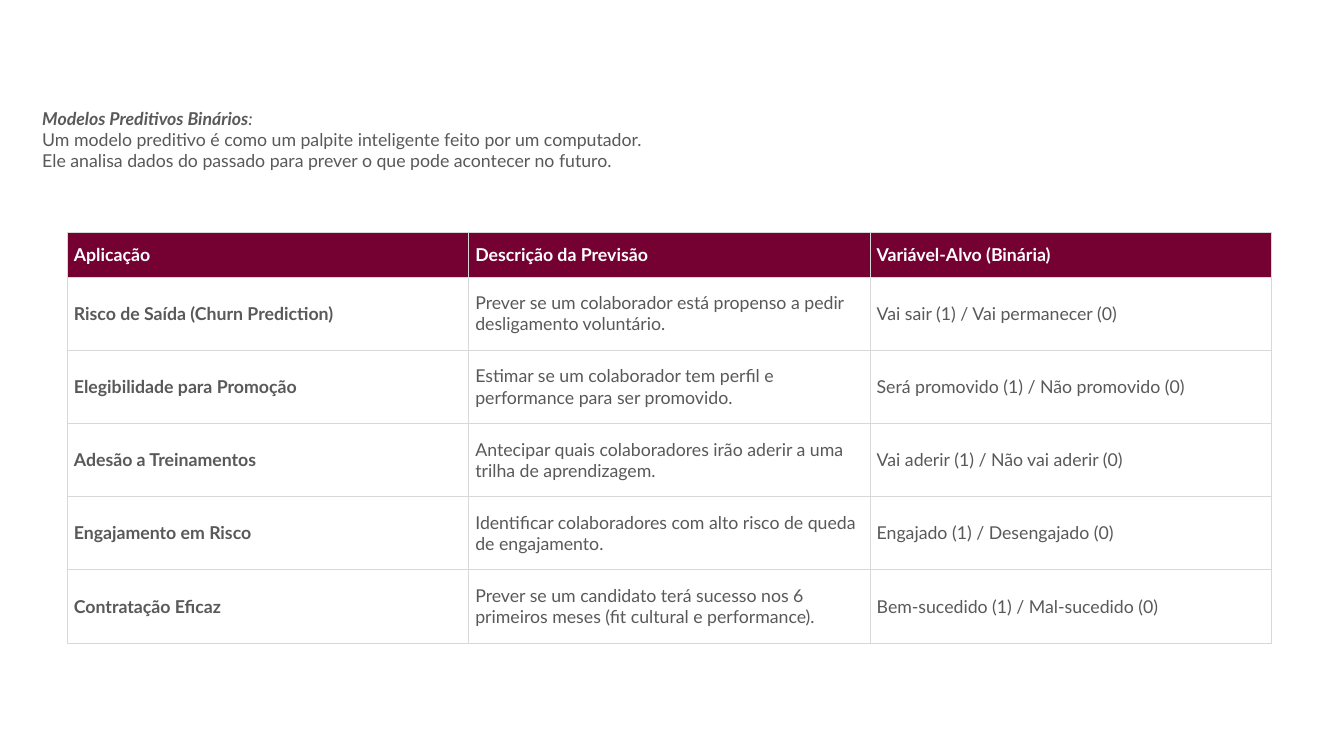
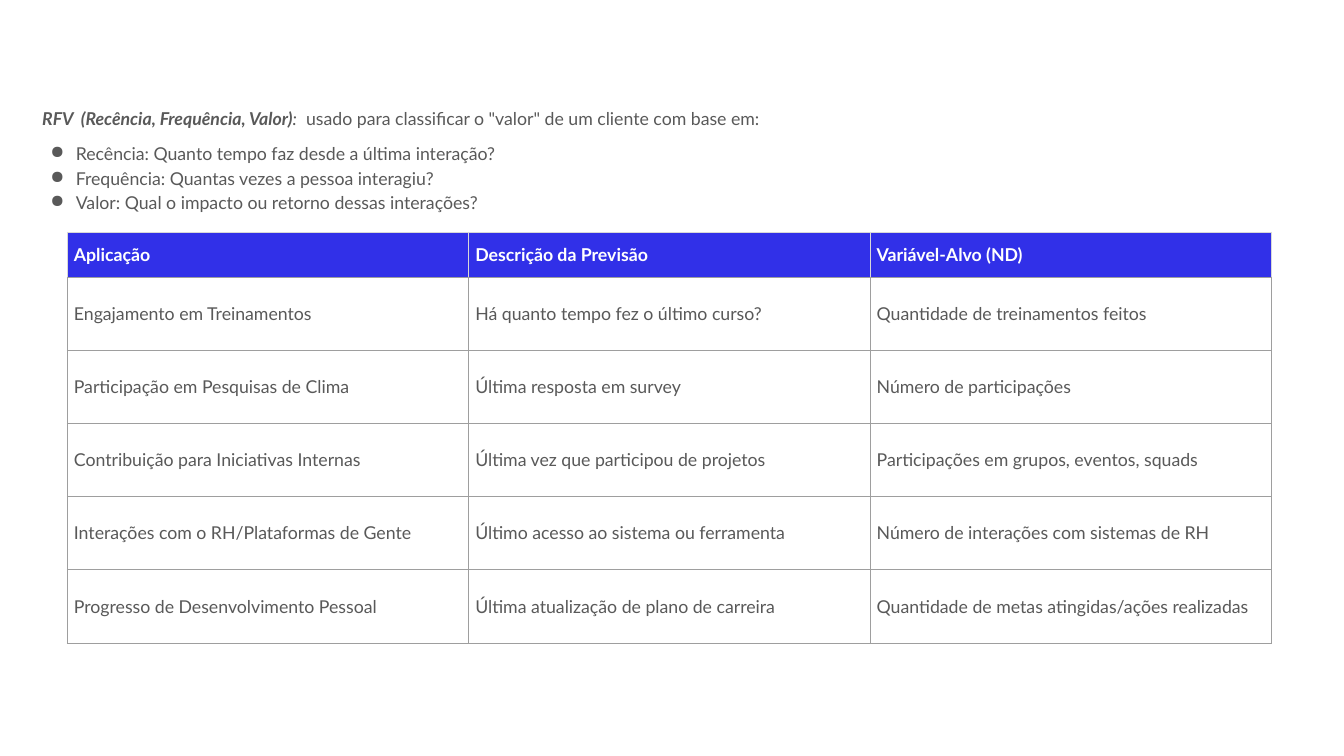
from lxml.etree import SubElement
from pptx import Presentation
from pptx.dml.color import RGBColor
from pptx.enum.text import MSO_ANCHOR, MSO_AUTO_SIZE
from pptx.oxml import parse_xml
from pptx.oxml.ns import nsdecls, qn
from pptx.util import Inches, Pt

FONT = "Lato"
SIZE = 19
GREY = "595959"
WHITE = "FFFFFF"
WINE = "750133"
BLUE = "3130E8"
LIGHT_RULE = "D8D8D8"
DARK_RULE = "9E9E9E"
INSET = Inches(0.1)
COLUMN_WIDTH = 17.92 / 3
HEADER_HEIGHT = 0.67
ROW_HEIGHT = 1.09

BINARY_ROWS = [
    ("Aplicação", "Descrição da Previsão", "Variável-Alvo (Binária)"),
    ("Risco de Saída (Churn Prediction)",
     "Prever se um colaborador está propenso a pedir desligamento voluntário.",
     "Vai sair (1) / Vai permanecer (0)"),
    ("Elegibilidade para Promoção",
     "Estimar se um colaborador tem perfil e performance para ser promovido.",
     "Será promovido (1) / Não promovido (0)"),
    ("Adesão a Treinamentos",
     "Antecipar quais colaboradores irão aderir a uma trilha de aprendizagem.",
     "Vai aderir (1) / Não vai aderir (0)"),
    ("Engajamento em Risco",
     "Identificar colaboradores com alto risco de queda de engajamento.",
     "Engajado (1) / Desengajado (0)"),
    ("Contratação Eficaz",
     "Prever se um candidato terá sucesso nos 6 primeiros meses (fit cultural e performance).",
     "Bem-sucedido (1) / Mal-sucedido (0)"),
]

RFV_ROWS = [
    ("Aplicação", "Descrição da Previsão", "Variável-Alvo (ND)"),
    ("Engajamento em Treinamentos", "Há quanto tempo fez o último curso?",
     "Quantidade de treinamentos feitos"),
    ("Participação em Pesquisas de Clima", "Última resposta em survey",
     "Número de participações"),
    ("Contribuição para Iniciativas Internas", "Última vez que participou de projetos",
     "Participações em grupos, eventos, squads"),
    ("Interações com o RH/Plataformas de Gente", "Último acesso ao sistema ou ferramenta",
     "Número de interações com sistemas de RH"),
    ("Progresso de Desenvolvimento Pessoal", "Última atualização de plano de carreira",
     "Quantidade de metas atingidas/ações realizadas"),
]


def rgb(hex_color):
    return RGBColor.from_string(hex_color)


def add_run(paragraph, text, color=GREY, bold=False, italic=False):
    run = paragraph.add_run()
    run.text = text
    run.font.name = FONT
    run.font.size = Pt(SIZE)
    run.font.bold = bold
    run.font.italic = italic
    run.font.color.rgb = rgb(color)


def set_insets(holder):
    holder.margin_left = holder.margin_right = INSET
    holder.margin_top = holder.margin_bottom = INSET


def add_intro(slide, term, height):
    box = slide.shapes.add_textbox(Inches(0.53), Inches(1.5), Inches(18.68), Inches(height))
    frame = box.text_frame
    frame.word_wrap = True
    frame.auto_size = MSO_AUTO_SIZE.SHAPE_TO_FIT_TEXT
    set_insets(frame)
    lead = frame.paragraphs[0]
    add_run(lead, term, bold=True, italic=True)
    add_run(lead, ":", italic=True)
    return frame


def add_bullet(frame, text, space_before=0):
    paragraph = frame.add_paragraph()
    paragraph.line_spacing = 1.15
    paragraph.space_before = Pt(space_before)
    add_run(paragraph, text)
    properties = paragraph._p.get_or_add_pPr()
    properties.set("marL", str(Inches(0.5)))
    properties.set("indent", str(Inches(-0.38)))
    bullet_color = SubElement(properties, qn("a:buClr"))
    SubElement(bullet_color, qn("a:srgbClr"), val=GREY)
    SubElement(properties, qn("a:buChar"), char="●")


def set_borders(cell, rule, bottom_rule):
    properties = cell._tc.get_or_add_tcPr()
    sides = {"lnL": rule, "lnR": rule, "lnT": rule, "lnB": bottom_rule}
    for position, (side, color) in enumerate(sides.items()):
        properties.insert(position, parse_xml(
            f'<a:{side} {nsdecls("a")} w="{Pt(0.75)}"><a:solidFill>'
            f'<a:srgbClr val="{color}"/></a:solidFill></a:{side}>'))


def add_applications(slide, rows, header_fill, rule, bold_names=False):
    height = HEADER_HEIGHT + ROW_HEIGHT * (len(rows) - 1)
    table = slide.shapes.add_table(
        len(rows), len(rows[0]), Inches(1), Inches(3.45),
        Inches(COLUMN_WIDTH * len(rows[0])), Inches(height)).table
    table.horz_banding = False
    for column in table.columns:
        column.width = Inches(COLUMN_WIDTH)
    for row_index, texts in enumerate(rows):
        is_header = row_index == 0
        table.rows[row_index].height = Inches(HEADER_HEIGHT if is_header else ROW_HEIGHT)
        for column_index, text in enumerate(texts):
            cell = table.cell(row_index, column_index)
            cell.vertical_anchor = MSO_ANCHOR.MIDDLE
            set_insets(cell)
            if is_header:
                cell.fill.solid()
                cell.fill.fore_color.rgb = rgb(header_fill)
            else:
                cell.fill.background()
            set_borders(cell, LIGHT_RULE if is_header else rule, rule)
            add_run(cell.text_frame.paragraphs[0], text,
                    color=WHITE if is_header else GREY,
                    bold=is_header or (bold_names and column_index == 0))


def add_slide(presentation):
    slide = presentation.slides.add_slide(presentation.slide_layouts[6])
    slide.background.fill.solid()
    slide.background.fill.fore_color.rgb = rgb(WHITE)
    return slide


def build_binary_models(presentation):
    slide = add_slide(presentation)
    intro = add_intro(slide, "Modelos Preditivos Binários", 1.16)
    for sentence in (
        "Um modelo preditivo é como um palpite inteligente feito por um computador.",
        "Ele analisa dados do passado para prever o que pode acontecer no futuro.",
    ):
        add_run(intro.add_paragraph(), sentence)
    add_applications(slide, BINARY_ROWS, WINE, LIGHT_RULE, bold_names=True)


def build_rfv(presentation):
    slide = add_slide(presentation)
    intro = add_intro(slide, "RFV  (Recência, Frequência, Valor)", 2.28)
    add_run(intro.paragraphs[0],
            '  usado para classificar o "valor" de um cliente com base em:')
    add_bullet(intro, "Recência: Quanto tempo faz desde a última interação?", space_before=12)
    add_bullet(intro, "Frequência: Quantas vezes a pessoa interagiu?")
    add_bullet(intro, "Valor: Qual o impacto ou retorno dessas interações?")
    add_applications(slide, RFV_ROWS, BLUE, DARK_RULE)


def main():
    presentation = Presentation()
    presentation.slide_width = Inches(20)
    presentation.slide_height = Inches(11.25)
    build_binary_models(presentation)
    build_rfv(presentation)
    presentation.save("out.pptx")


if __name__ == "__main__":
    main()
